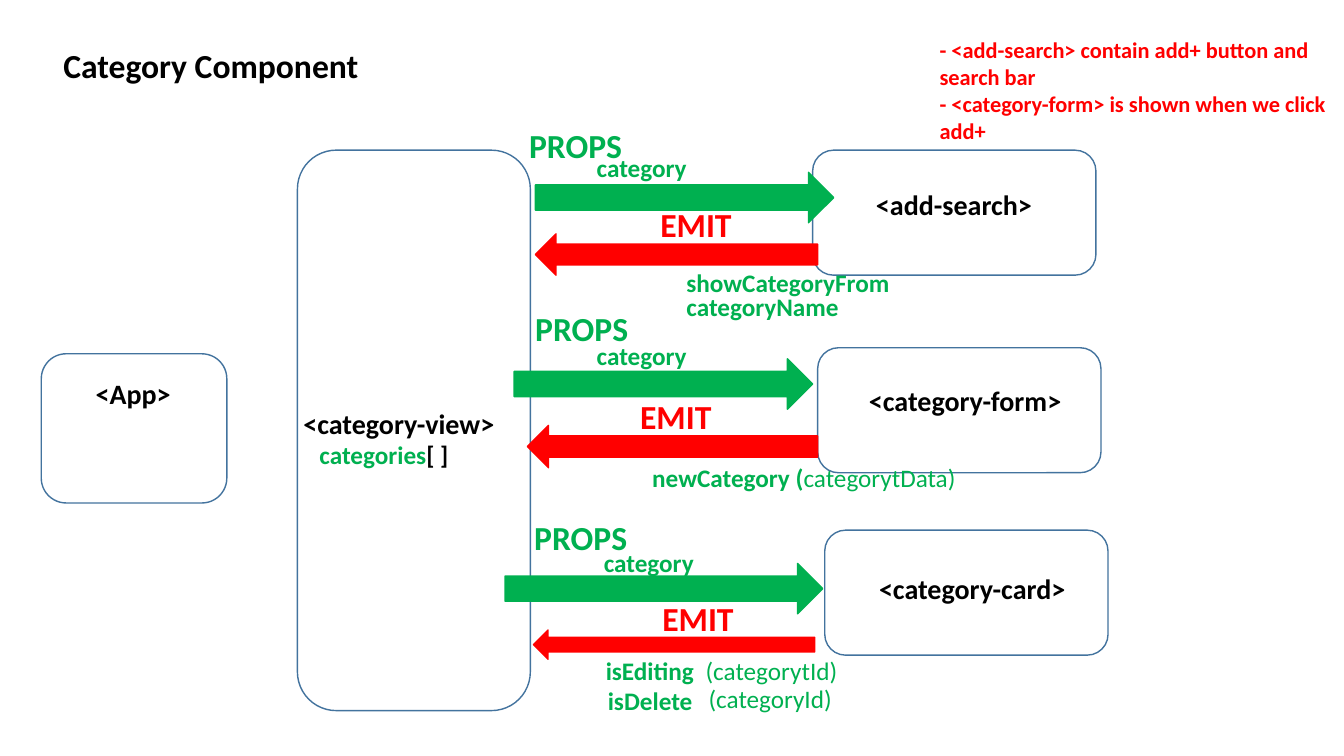
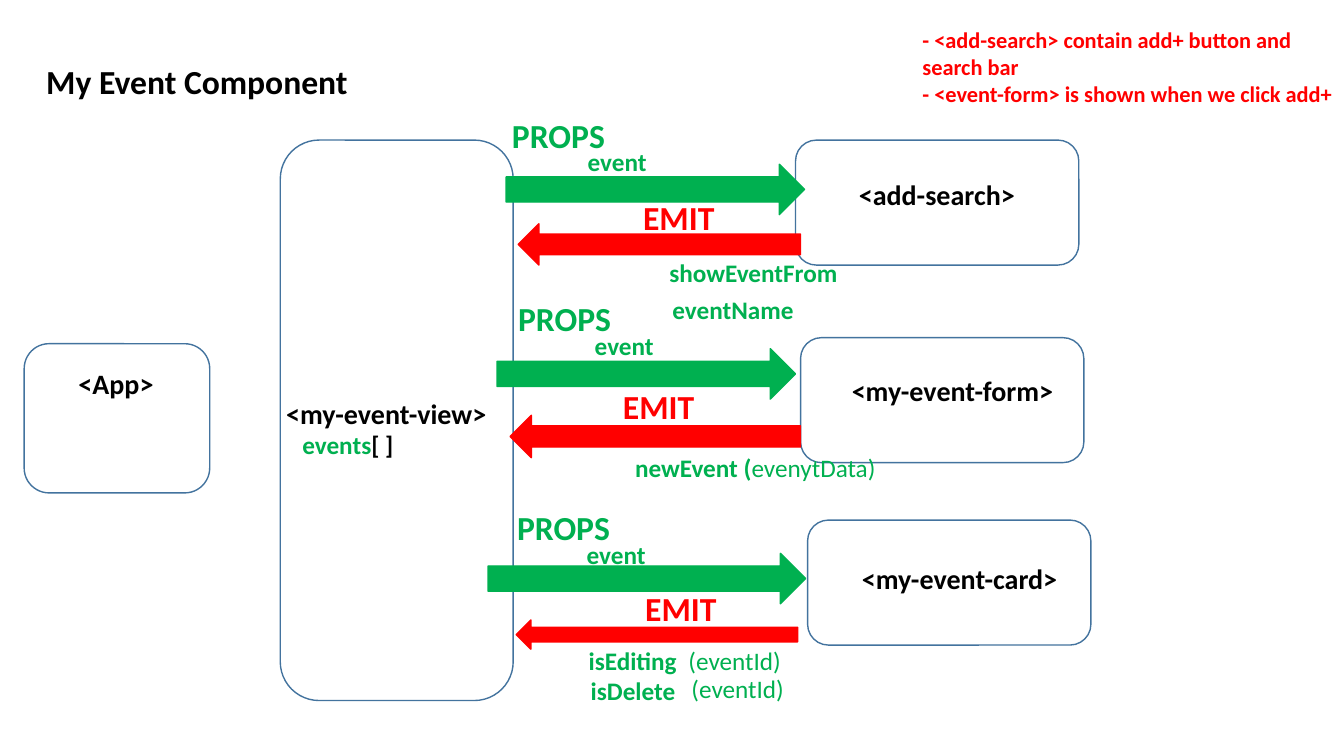
from dataclasses import dataclass

from pptx import Presentation
from pptx.dml.color import RGBColor
from pptx.enum.shapes import MSO_SHAPE
from pptx.enum.text import MSO_AUTO_SIZE
from pptx.slide import Slide
from pptx.util import Inches, Pt

ROUNDED = MSO_SHAPE.ROUNDED_RECTANGLE
RIGHT_ARROW = MSO_SHAPE.RIGHT_ARROW
LEFT_ARROW = MSO_SHAPE.LEFT_ARROW
GROW = MSO_AUTO_SIZE.SHAPE_TO_FIT_TEXT

BLACK = RGBColor(0x00, 0x00, 0x00)
RED = RGBColor(0xFF, 0x00, 0x00)
GREEN = RGBColor(0x00, 0xB0, 0x50)
OUTLINE = RGBColor(0x43, 0x73, 0x9E)
FONT = "Calibri"
NOTE, DETAIL, TAG, HEADING = 16, 18, 20, 24
LINE_HEIGHT = {DETAIL: 0.4, TAG: 0.44, HEADING: 0.5}


@dataclass(frozen=True)
class Point:
    left: float
    top: float


@dataclass(frozen=True)
class Figure:
    kind: MSO_SHAPE
    left: float
    top: float
    width: float
    height: float
    line: RGBColor
    fill: RGBColor | None = None


@dataclass(frozen=True)
class Run:
    text: str
    color: RGBColor = GREEN
    bold: bool = True


@dataclass(frozen=True)
class Label:
    left: float
    top: float
    width: float
    size: int
    paragraphs: tuple[tuple[Run, ...], ...]
    wrap: bool = False
    height: float | None = None


@dataclass(frozen=True)
class Term:
    text: str
    width: float


@dataclass(frozen=True)
class Component:
    origin: Point
    title: str
    title_top: float
    note: str
    note_height: float
    view: Term
    form: Term
    card: Term
    prop: Term
    prop_points: tuple[Point, ...]
    collection: Term
    show: Term
    name: Term
    name_point: Point
    create: tuple[str, str]
    create_width: float
    edit_id: Term
    delete_id: Term
    first_arrow: Point
    first_emit_top: float


def box(left: float, top: float, width: float = 2.81, height: float = 1.24) -> Figure:
    return Figure(ROUNDED, left, top, width, height, OUTLINE)


def props_arrow(left: float, top: float, width: float = 2.96) -> Figure:
    return Figure(RIGHT_ARROW, left, top, width, 0.5, GREEN, GREEN)


def emit_arrow(left: float, top: float, width: float, height: float) -> Figure:
    return Figure(LEFT_ARROW, left, top, width, height, RED, RED)


def label(left: float, top: float, width: float, size: int, *runs: Run) -> Label:
    return Label(left, top, width, size, (runs,))


def tag(left: float, top: float, term: Term) -> Label:
    return label(left, top, term.width, TAG, Run(term.text, BLACK))


def detail(left: float, top: float, term: Term, bold: bool = True) -> Label:
    return label(left, top, term.width, DETAIL, Run(term.text, bold=bold))


BOXES = (
    box(2.95, 1.49, 2.31, 5.56),
    box(0.41, 3.51, 1.84, 1.48),
    box(8.06, 1.49),
    box(8.11, 3.45),
    box(8.18, 5.26),
)
ARROWS = (
    emit_arrow(5.31, 2.32, 2.8, 0.41),
    props_arrow(5.1, 3.56),
    emit_arrow(5.23, 4.22, 2.88, 0.42),
    props_arrow(5.01, 5.59, 3.15),
    emit_arrow(5.29, 6.25, 2.79, 0.29),
)
PROPS_POINTS = (Point(5.15, 1.19), Point(5.21, 3.01), Point(5.2, 5.08))


def component_labels(component: Component) -> list[Label]:
    emit_points = (
        Point(6.45, component.first_emit_top),
        Point(6.25, 3.88),
        Point(6.47, 5.88),
    )
    collection = component.collection
    call, argument = component.create
    note_lines = ("- <add-search> contain add+ button and search bar", component.note)
    return [
        Label(0.53, component.title_top, 3.57, HEADING,
              ((Run(component.title, BLACK),),), wrap=True),
        Label(9.22, 0.31, 4.41, NOTE,
              tuple((Run(line, RED),) for line in note_lines),
              wrap=True, height=component.note_height),
        tag(0.85, 3.69, Term("<App>", 0.95)),
        tag(2.91, 3.98, component.view),
        tag(8.59, 1.81, Term("<add-search>", 1.77)),
        tag(8.52, 3.76, component.form),
        tag(8.62, 5.62, component.card),
        label(3.07, 4.31, collection.width, DETAIL,
              Run(collection.text), Run("[ ]", BLACK)),
        *(label(point.left, point.top, 1.13, HEADING, Run("PROPS"))
          for point in PROPS_POINTS),
        *(label(point.left, point.top, 0.92, HEADING, Run("EMIT", RED))
          for point in emit_points),
        *(detail(point.left, point.top, component.prop)
          for point in component.prop_points),
        detail(6.71, 2.6, component.show),
        detail(component.name_point.left, component.name_point.top, component.name),
        label(6.37, 4.54, component.create_width, DETAIL,
              Run(call), Run(argument, bold=False)),
        detail(5.91, 6.45, Term("isEditing", 1.08)),
        detail(6.9, 6.45, component.edit_id, bold=False),
        detail(5.93, 6.75, Term("isDelete", 1.05)),
        detail(6.93, 6.73, component.delete_id, bold=False),
    ]


def draw_figure(slide: Slide, figure: Figure, origin: Point) -> None:
    shape = slide.shapes.add_shape(
        figure.kind,
        Inches(origin.left + figure.left), Inches(origin.top + figure.top),
        Inches(figure.width), Inches(figure.height),
    )
    shape.shadow.inherit = False
    shape.line.color.rgb = figure.line
    shape.line.width = Pt(1)
    if figure.fill is None:
        shape.fill.background()
    else:
        shape.fill.solid()
        shape.fill.fore_color.rgb = figure.fill


def draw_label(slide: Slide, item: Label, origin: Point) -> None:
    text_box = slide.shapes.add_textbox(
        Inches(origin.left + item.left), Inches(origin.top + item.top),
        Inches(item.width), Inches(item.height or LINE_HEIGHT[item.size]),
    )
    frame = text_box.text_frame
    frame.word_wrap = item.wrap
    frame.auto_size = GROW
    for index, runs in enumerate(item.paragraphs):
        paragraph = frame.add_paragraph() if index else frame.paragraphs[0]
        for part in runs:
            run = paragraph.add_run()
            run.text = part.text
            run.font.name = FONT
            run.font.size = Pt(item.size)
            run.font.bold = part.bold
            run.font.color.rgb = part.color


def draw_component(slide: Slide, component: Component) -> None:
    start = component.first_arrow
    for figure in (*BOXES, props_arrow(start.left, start.top), *ARROWS):
        draw_figure(slide, figure, component.origin)
    for item in component_labels(component):
        draw_label(slide, item, component.origin)


COMPONENTS = (
    Component(
        origin=Point(0, 0),
        title="Category Component",
        title_top=0.4,
        note="- <category-form> is shown when we click add+",
        note_height=1.18,
        view=Term("<category-view>", 2.12),
        form=Term("<category-form>", 2.13),
        card=Term("<category-card>", 2.07),
        prop=Term("category", 1.1),
        prop_points=(Point(5.82, 1.46), Point(5.82, 3.33), Point(5.89, 5.38)),
        collection=Term("categories", 1.49),
        show=Term("showCategoryFrom", 2.23),
        name=Term("categoryName", 1.72),
        name_point=Point(6.71, 2.84),
        create=("newCategory (", "categorytData)"),
        create_width=3.25,
        edit_id=Term("(categorytId)", 1.52),
        delete_id=Term("(categoryId)", 1.44),
        first_arrow=Point(5.31, 1.71),
        first_emit_top=1.97,
    ),
    Component(
        origin=Point(-0.17, -0.1),
        title="My Event Component",
        title_top=0.66,
        note="- <event-form> is shown when we click add+",
        note_height=0.91,
        view=Term("<my-event-view>", 2.22),
        form=Term("<my-event-form>", 2.23),
        card=Term("<my-event-card>", 2.17),
        prop=Term("event", 0.79),
        prop_points=(Point(5.9, 1.5), Point(5.97, 3.33), Point(5.89, 5.4)),
        collection=Term("events", 1.11),
        show=Term("showEventFrom", 1.88),
        name=Term("eventName", 1.41),
        name_point=Point(6.74, 2.97),
        create=("newEvent (", "evenytData)"),
        create_width=2.61,
        edit_id=Term("(eventId)", 1.15),
        delete_id=Term("(eventId)", 1.15),
        first_arrow=Point(5.19, 1.73),
        first_emit_top=2.0,
    ),
)

presentation = Presentation()
presentation.slide_width = Inches(13.33)
presentation.slide_height = Inches(7.5)
blank_layout = presentation.slide_layouts[6]
for component in COMPONENTS:
    draw_component(presentation.slides.add_slide(blank_layout), component)
presentation.save("out.pptx")
